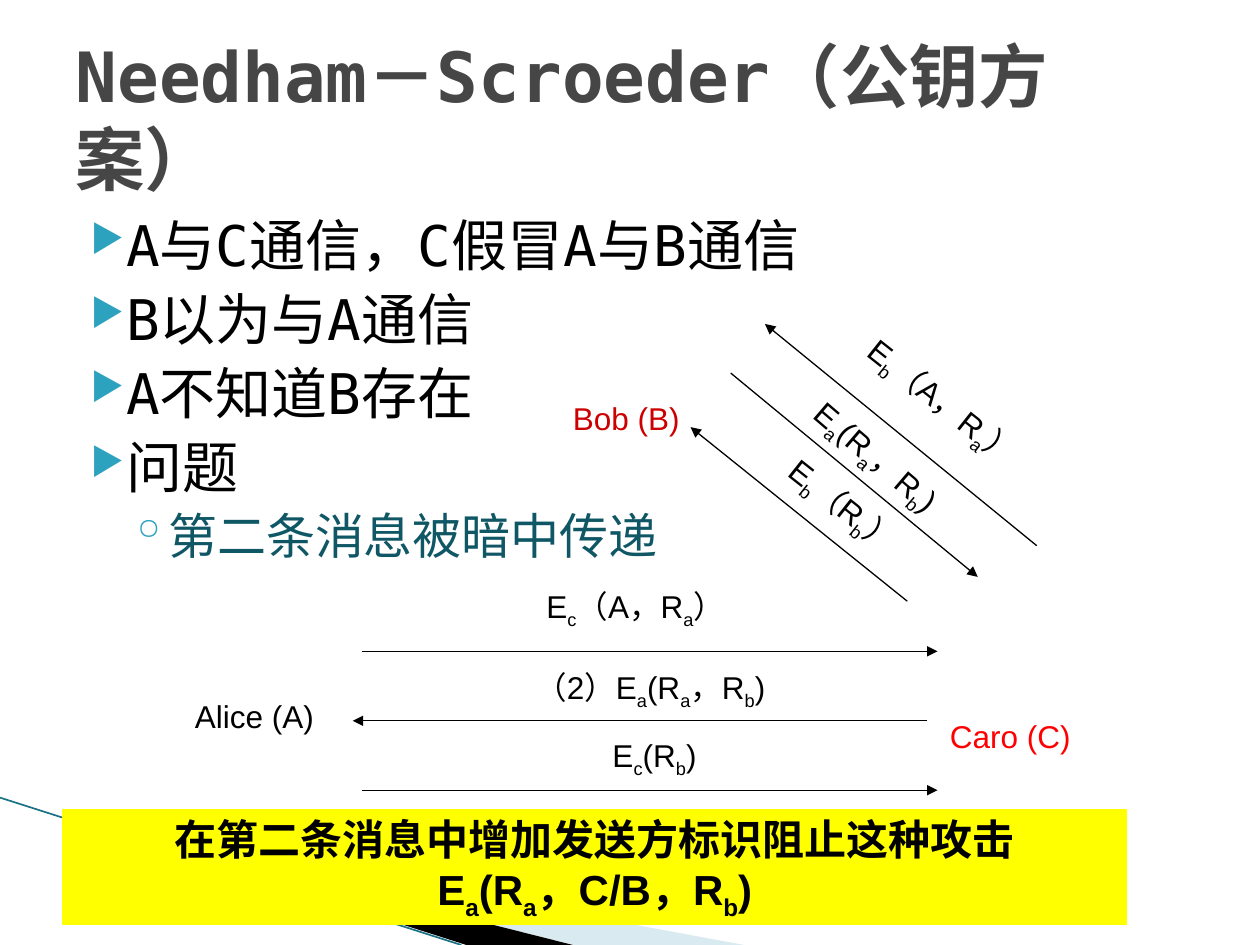
from dataclasses import dataclass

from lxml.etree import SubElement
from pptx import Presentation
from pptx.dml.color import RGBColor
from pptx.enum.shapes import MSO_CONNECTOR, MSO_SHAPE
from pptx.enum.text import MSO_ANCHOR, MSO_AUTO_SIZE, PP_ALIGN
from pptx.oxml.ns import qn
from pptx.util import Cm, Pt


@dataclass(frozen=True)
class Theme:
    mono: str = "DejaVu Sans Mono"
    sans: str = "Arial"
    cjk: str = "Noto Sans CJK SC"
    ink: str = "000000"
    heading: str = "464646"
    accent: str = "2DA2BF"
    subpoint: str = "105766"
    honest_peer: str = "CC0000"
    attacker: str = "FF0000"
    highlight: str = "FFFF00"
    pale_wave: str = "A0CBDC"
    wave_edge: str = "1B7285"
    title_size: float = 39.6
    point_size: float = 32
    subpoint_size: float = 28
    remedy_size: float = 24
    label_size: float = 18


class ProtocolSlide:
    def __init__(self, presentation, theme):
        self.theme = theme
        self.slide = presentation.slides.add_slide(presentation.slide_layouts[5])

    def style(self, run, size, color, face, bold=False):
        run.font.size = Pt(size)
        run.font.bold = bold
        run.font.name = face
        run.font.color.rgb = RGBColor.from_string(color)
        SubElement(run._r.get_or_add_rPr(), qn("a:ea"), typeface=self.theme.cjk)

    def formula(self, paragraph, notation, size, color, bold=False):
        first, *indexed = notation.split("_")
        pieces = [(first, False)]
        for part in indexed:
            pieces += [(part[0], True), (part[1:], False)]
        for wording, lowered in pieces:
            if wording:
                run = paragraph.add_run()
                run.text = wording
                self.style(run, size, color, self.theme.sans, bold)
                if lowered:
                    run._r.get_or_add_rPr().set("baseline", "-25000")

    def title(self, wording, left, top, width, height):
        heading = self.slide.shapes.title
        heading.left, heading.top = Cm(left), Cm(top)
        heading.width, heading.height = Cm(width), Cm(height)
        frame = heading.text_frame
        frame.text = wording
        frame.auto_size = MSO_AUTO_SIZE.NONE
        frame.vertical_anchor = MSO_ANCHOR.MIDDLE
        frame.paragraphs[0].alignment = PP_ALIGN.LEFT
        self.style(frame.paragraphs[0].runs[0], self.theme.title_size,
                   self.theme.heading, self.theme.mono, True)

    def text_box(self, left, top, width, height):
        box = self.slide.shapes.add_textbox(Cm(left), Cm(top), Cm(width), Cm(height))
        box.text_frame.word_wrap = True
        return box

    def bullet(self, paragraph, mark, percent, margin, indent):
        properties = paragraph._p.get_or_add_pPr()
        properties.set("marL", str(Cm(margin)))
        properties.set("indent", str(Cm(indent)))
        tint = SubElement(properties, qn("a:buClr"))
        SubElement(tint, qn("a:srgbClr"), val=self.theme.accent)
        SubElement(properties, qn("a:buSzPct"), val=str(percent * 1000))
        SubElement(properties, qn("a:buChar"), char=mark)

    def outline(self, points, left, top, width, height):
        theme = self.theme
        frame = self.text_box(left, top, width, height).text_frame
        frame.text = "\n".join(wording for wording, _ in points)
        for index, (paragraph, (_, nested)) in enumerate(zip(frame.paragraphs, points)):
            if nested:
                paragraph.level = 1
                self.bullet(paragraph, "◦", 100, 1.73, -0.64)
                size, color, gap = theme.subpoint_size, theme.subpoint, 3.2
            else:
                self.bullet(paragraph, "▶", 68, 1.02, -0.71)
                size, color, gap = theme.point_size, theme.ink, 4
            if index:
                paragraph.space_before = Pt(gap)
            self.style(paragraph.runs[0], size, color, theme.mono)

    def party(self, name, color, left, top, width):
        paragraph = self.text_box(left, top, width, 1.02).text_frame.paragraphs[0]
        paragraph.text = name
        self.style(paragraph.runs[0], self.theme.label_size, color, self.theme.sans)

    def message(self, notation, left, top, width, angle=0):
        box = self.text_box(left, top, width, 1.02)
        box.rotation = angle
        paragraph = box.text_frame.paragraphs[0]
        paragraph.alignment = PP_ALIGN.CENTER
        self.formula(paragraph, notation, self.theme.label_size, self.theme.ink)

    def line(self, start, end, color, weight):
        connector = self.slide.shapes.add_connector(
            MSO_CONNECTOR.STRAIGHT, *map(Cm, start), *map(Cm, end))
        connector.line.color.rgb = RGBColor.from_string(color)
        connector.line.width = Pt(weight)
        SubElement(connector._element.spPr, qn("a:effectLst"))
        return connector

    def arrow(self, sender, receiver):
        connector = self.line(sender, receiver, self.theme.ink, 0.75)
        SubElement(connector.line._get_or_add_ln(), qn("a:tailEnd"), type="triangle")

    def wave(self, corners, color, opacity=100):
        start, *others = [(Cm(x), Cm(y)) for x, y in corners]
        builder = self.slide.shapes.build_freeform(*start)
        builder.add_line_segments(others, close=True)
        shape = builder.convert_to_shape()
        shape.shadow.inherit = False
        shape.fill.solid()
        shape.fill.fore_color.rgb = RGBColor.from_string(color)
        shape.line.fill.background()
        if opacity < 100:
            tint = shape._element.spPr.find(qn("a:solidFill"))[0]
            SubElement(tint, qn("a:alpha"), val=str(opacity * 1000))

    def remedy(self, advice, notation, left, top, width, height):
        theme = self.theme
        bar = self.slide.shapes.add_shape(
            MSO_SHAPE.RECTANGLE, Cm(left), Cm(top), Cm(width), Cm(height))
        bar.shadow.inherit = False
        bar.fill.solid()
        bar.fill.fore_color.rgb = RGBColor.from_string(theme.highlight)
        bar.line.color.rgb = RGBColor.from_string(theme.highlight)
        bar.line.width = Pt(0.75)
        frame = bar.text_frame
        frame.text = advice
        self.style(frame.paragraphs[0].runs[0], theme.remedy_size, theme.ink,
                   theme.cjk, True)
        self.formula(frame.add_paragraph(), notation, theme.remedy_size, theme.ink, True)
        for paragraph in frame.paragraphs:
            paragraph.alignment = PP_ALIGN.CENTER


def main():
    presentation = Presentation()
    presentation.slide_width, presentation.slide_height = Cm(25.4), Cm(19.05)
    theme = Theme()
    page = ProtocolSlide(presentation, theme)

    page.wave([(1.4, 16.54), (15, 19.05), (11.58, 19.05)], theme.pale_wave, 40)
    page.wave([(1.35, 16.48), (11.55, 19.05), (9.4, 19.05)], theme.ink)
    page.line((0, 16.08), (9.3, 19.05), theme.wave_edge, 0.95)

    page.title("Needham－Scroeder（公钥方案）", 1.27, 0.76, 22.86, 3.18)
    page.outline([
        ("A与C通信，C假冒A与B通信", False),
        ("B以为与A通信", False),
        ("A不知道B存在", False),
        ("问题", False),
        ("第二条消息被暗中传递", True),
    ], 1.27, 4.11, 22.86, 12.57)

    page.party("Alice (A)", theme.ink, 3.68, 13.92, 3.2)
    page.party("Caro (C)", theme.attacker, 18.9, 14.33, 3.81)
    page.party("Bob (B)", theme.honest_peer, 11.3, 7.92, 3.2)

    alice_caro = [
        (7.29, 18.9, "E_c（A，R_a）", 8.51, 11.71, 8.61),
        (18.69, 7.11, "（2）E_a(R_a，R_b)", 8.31, 13.34, 9.6),
        (7.29, 18.9, "E_c(R_b)", 8.89, 14.71, 8.61),
    ]
    for step, (sender, receiver, *label) in enumerate(alice_caro):
        height = 13.13 + 1.4 * step
        page.arrow((sender, height), (receiver, height))
        page.message(*label)

    caro_bob = [
        ((20.9, 11), (15.42, 6.53), "E_b（A，R_a）", 14.71, 7.59, 8.61, 38.4),
        ((14.73, 7.52), (19.71, 11.63), "E_a(R_a，R_b)", 14.12, 8.69, 7.09, 40.6),
        ((18.29, 12.12), (13.92, 8.61), "E_b（R_b）", 12.7, 9.68, 8.61, 38.4),
    ]
    for sender, receiver, *label in caro_bob:
        page.arrow(sender, receiver)
        page.message(*label)

    page.remedy("在第二条消息中增加发送方标识阻止这种攻击", "E_a(R_a，C/B，R_b)",
                1.27, 16.33, 21.44, 2.31)
    presentation.save("out.pptx")


if __name__ == "__main__":
    main()
